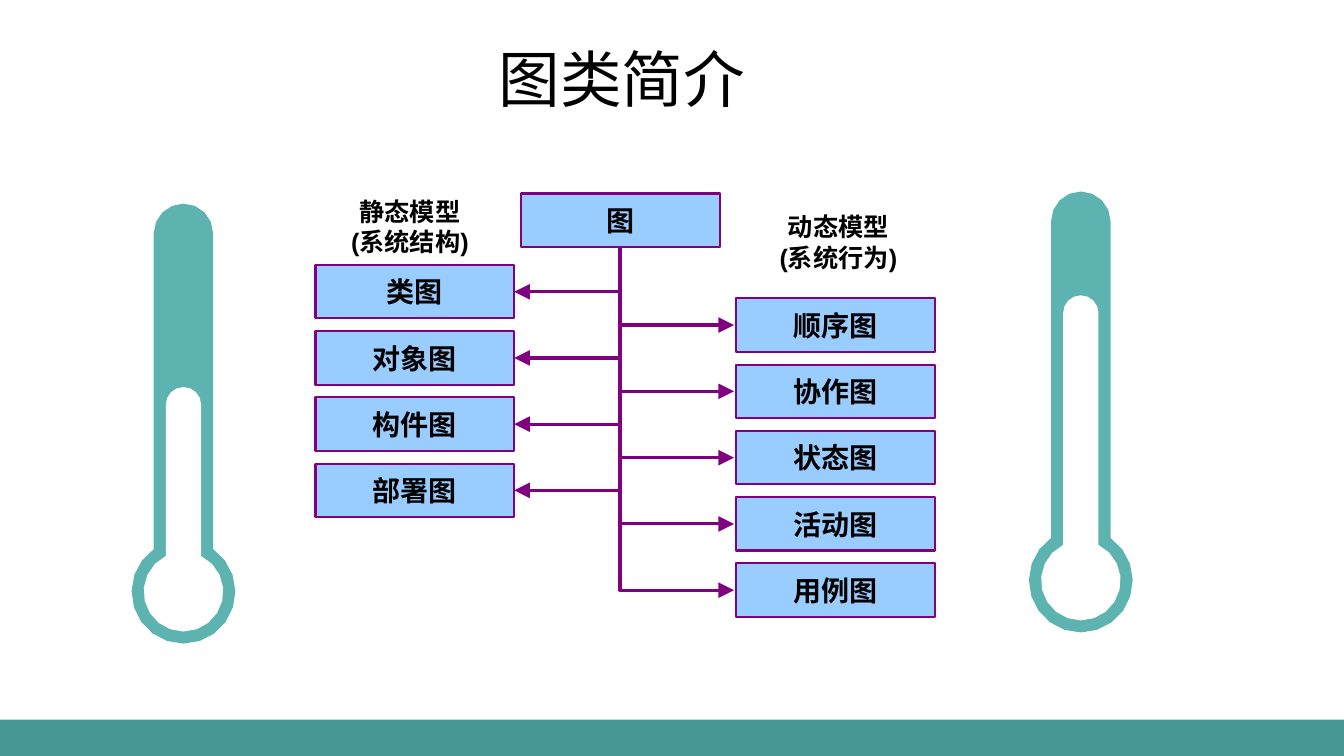
from math import asin, cos, pi, sin, sqrt

from lxml.etree import SubElement
from pptx import Presentation
from pptx.dml.color import RGBColor
from pptx.enum.shapes import MSO_CONNECTOR as CONNECTOR, MSO_SHAPE as SHAPE
from pptx.enum.text import MSO_ANCHOR as ANCHOR, PP_ALIGN as ALIGN
from pptx.oxml.ns import qn
from pptx.util import Inches, Pt

COLORS = {"text": "000000", "band": "479796", "glass": "5DB3B0",
          "empty": "FFFFFF", "box": "99CCFF", "edge": "800080"}
TITLE = "图类简介"
ROOT = "图"
ROOT_AT = (5.17, 1.92)
BOX_W, BOX_H = 1.97, 0.53
TRUNK_X = 6.15
BRANCHES = [
    {"names": ["类图", "对象图", "构件图", "部署图"],
     "left": 3.13, "first": 2.63, "last": 4.6, "tip": 5.1,
     "label": ["静态模型", "(系统结构)"], "label_at": (3.12, 1.9)},
    {"names": ["顺序图", "协作图", "状态图", "活动图", "用例图"],
     "left": 7.3, "first": 2.96, "last": 5.59, "tip": 7.28,
     "label": ["动态模型", "(系统行为)"], "label_at": (7.37, 2.05)},
]
GLASS = {"stem": 0.295, "bulb": 0.515}
HOLLOW = {"stem": 0.175, "bulb": 0.395}
THERMOMETERS = [
    {"center": 1.82, "top": 2.02, "hollow_top": 3.84, "bulb_y": 5.87},
    {"center": 10.72, "top": 1.9, "hollow_top": 2.93, "bulb_y": 5.76},
]
CAP_STEPS, BULB_STEPS = 8, 16


def rgb(name):
    return RGBColor.from_string(COLORS[name])


def paint(sp, fill, edge=None):
    sp.shadow.inherit = False
    sp.fill.solid()
    sp.fill.fore_color.rgb = rgb(fill)
    if edge:
        sp.line.color.rgb = rgb(edge)
        sp.line.width = Pt(1.5)
    else:
        sp.line.fill.background()


def add_run(p, text, size, font="Arial", bold=True):
    r = p.add_run()
    r.text = text
    r.font.size = Pt(size)
    r.font.name = font
    r.font.bold = bold
    r.font.color.rgb = rgb("text")
    return r


def add_box(shapes, name, left, top):
    sp = shapes.add_shape(SHAPE.RECTANGLE, Inches(left), Inches(top),
                          Inches(BOX_W), Inches(BOX_H))
    paint(sp, "box", "edge")
    tf = sp.text_frame
    tf.word_wrap = False
    tf.vertical_anchor = ANCHOR.MIDDLE
    p = tf.paragraphs[0]
    p.alignment = ALIGN.CENTER
    add_run(p, name, 20)


def add_arrow(shapes, x, y, tip_x, tip_y):
    drop, run = tip_y - y, abs(tip_x - x)
    left = (x + tip_x - drop) / 2
    top = (y + tip_y - run) / 2
    ends = [left, left + drop]
    rotation = 90
    if tip_x > x:
        ends.reverse()
        rotation = 270
    cxn = shapes.add_connector(CONNECTOR.ELBOW, Inches(ends[0]), Inches(top),
                               Inches(ends[1]), Inches(top + run))
    cxn.line.color.rgb = rgb("edge")
    cxn.line.width = Pt(2.25)
    sp_pr = cxn._element.spPr
    sp_pr.find(qn("a:xfrm")).set("rot", str(rotation * 60000))
    sp_pr.find(qn("a:prstGeom")).set("prst", "bentConnector2")
    SubElement(sp_pr.find(qn("a:ln")), qn("a:tailEnd"),
               type="triangle", w="lg", len="lg")
    SubElement(sp_pr, qn("a:effectLst"))


def add_label(shapes, lines, left, top):
    box = shapes.add_textbox(Inches(left), Inches(top), Inches(1.89), Inches(0.71))
    tf = box.text_frame
    tf.word_wrap = True
    p = tf.paragraphs[0]
    p.alignment = ALIGN.CENTER
    add_run(p, lines[0], 18)
    p.add_line_break()
    add_run(p, lines[1], 18)


def arc(x, y, radius, start, end, steps):
    angles = [start + (end - start) * i / steps for i in range(steps + 1)]
    return [(Inches(x + radius * cos(a)), Inches(y + radius * sin(a))) for a in angles]


def add_tube(shapes, x, top, bulb_y, stem, bulb, fill):
    neck = asin(sqrt(1 - (stem / bulb) ** 2))
    points = arc(x, top + stem, stem, pi, 2 * pi, CAP_STEPS)
    points += arc(x, bulb_y, bulb, -neck, pi + neck, BULB_STEPS)
    builder = shapes.build_freeform(*points[0])
    builder.add_line_segments(points[1:], close=True)
    paint(builder.convert_to_shape(), fill)


def main():
    prs = Presentation()
    prs.slide_width, prs.slide_height = Inches(13.33), Inches(7.5)
    s = prs.slides.add_slide(prs.slide_layouts[5])
    shapes = s.shapes

    title = shapes.title
    title.left, title.top = Inches(4.83), Inches(0.35)
    title.width, title.height = Inches(2.68), Inches(0.84)
    tf = title.text_frame
    tf.word_wrap = False
    tf.vertical_anchor = ANCHOR.MIDDLE
    r = add_run(tf.paragraphs[0], TITLE, 44, "Noto Sans CJK SC", False)
    SubElement(r.font._element, qn("a:ea")).set("typeface", "Noto Sans CJK SC")

    band = shapes.add_shape(SHAPE.RECTANGLE, 0, Inches(7.14),
                            prs.slide_width, Inches(0.36))
    paint(band, "band")

    for t in THERMOMETERS:
        add_tube(shapes, t["center"], t["top"], t["bulb_y"], **GLASS, fill="glass")
        add_tube(shapes, t["center"], t["hollow_top"], t["bulb_y"], **HOLLOW, fill="empty")

    add_box(shapes, ROOT, *ROOT_AT)
    trunk_y = ROOT_AT[1] + BOX_H
    for b in BRANCHES:
        pitch = (b["last"] - b["first"]) / (len(b["names"]) - 1)
        for i, name in enumerate(b["names"]):
            top = b["first"] + i * pitch
            add_box(shapes, name, b["left"], top)
            add_arrow(shapes, TRUNK_X, trunk_y, b["tip"], top + BOX_H / 2)
        add_label(shapes, b["label"], *b["label_at"])

    prs.save("out.pptx")


if __name__ == "__main__":
    main()
